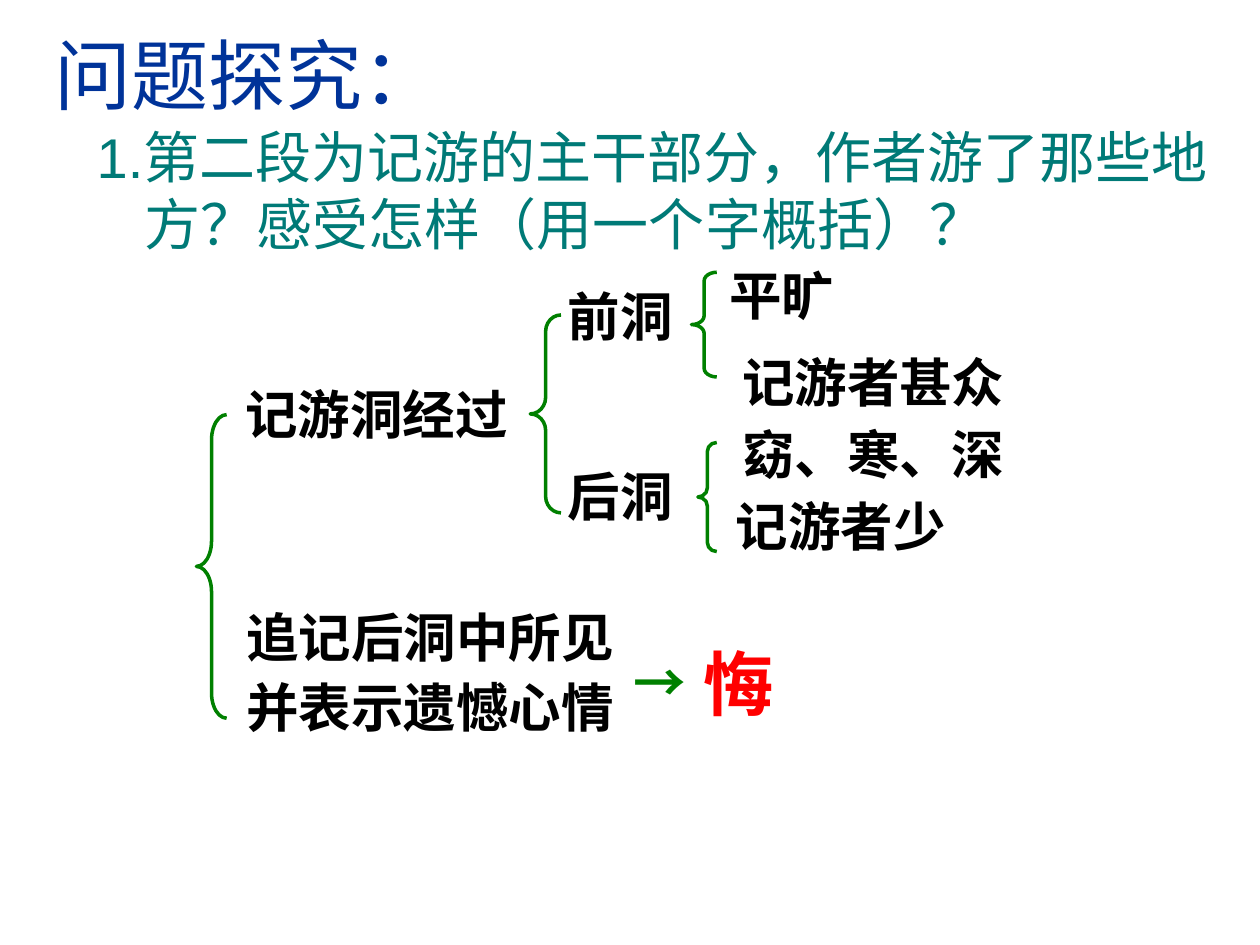
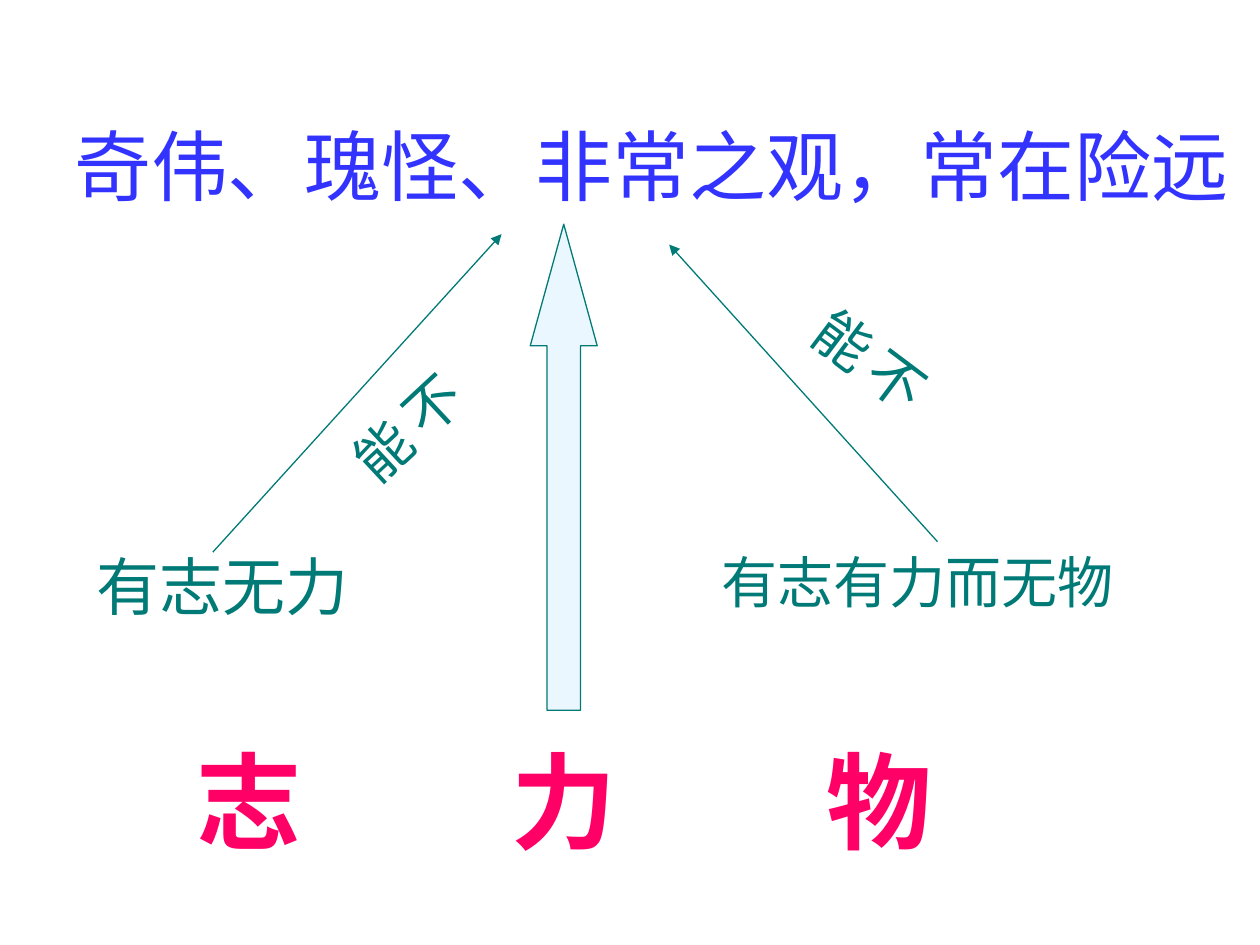
"""Builds two lesson slides: a brace outline of the tour and an arrow diagram."""
from dataclasses import dataclass

from lxml import etree
from pptx import Presentation
from pptx import util as u
from pptx.dml.color import RGBColor
from pptx.enum import shapes, text
from pptx.oxml import ns

TITLE_ONLY = 5


@dataclass(frozen=True)
class Theme:
    """Colours, fonts and type sizes shared by the slides."""
    navy: str = "003399"
    blue: str = "3333FF"
    teal: str = "007A77"
    green: str = "008000"
    black: str = "000000"
    red: str = "FF0000"
    pink: str = "FF0066"
    pale: str = "EBF7FF"
    latin: str = "Arial"
    cjk: str = "Noto Sans CJK SC"
    title: int = 44
    key: int = 60
    verdict: int = 40
    cause: int = 36
    body: int = 32
    outline: int = 30
    thin: float = 0.75
    brace: float = 2


THEME = Theme()


def look(size, color, name=THEME.latin, bold=False):
    """Return the font values of one text style."""
    return {"size": u.Pt(size), "color": color, "name": name, "bold": bold}


TITLE = look(THEME.title, THEME.navy)
HEADLINE = look(THEME.title, THEME.blue)
BODY = look(THEME.body, THEME.teal)
CAUSE = look(THEME.cause, THEME.teal)
OUTLINE = look(THEME.outline, THEME.black, THEME.cjk, True)
ARROW = look(THEME.outline, THEME.green, THEME.cjk, True)
VERDICT = look(THEME.verdict, THEME.red, THEME.cjk, True)
KEY = look(THEME.key, THEME.pink, bold=True)
TIGHT = {"line_spacing": 0.9}


def assign(target, values):
    """Set every attribute named in a dict of values."""
    for name, value in values.items():
        setattr(target, name, value)


def cm(*lengths):
    """Convert numbers to lengths in centimetres."""
    return [u.Cm(length) for length in lengths]


def write(box, lines, style, layout=None):
    """Fill a box with styled paragraphs."""
    frame = box.text_frame
    for index, line in enumerate(lines):
        para = frame.add_paragraph() if index else frame.paragraphs[0]
        assign(para, layout or {})
        if index:
            para.space_before = u.Pt(7.5)
        span = para.add_run()
        span.text = line
        assign(span.font, {k: v for k, v in style.items() if k != "color"})
        span.font.color.rgb = RGBColor.from_string(style["color"])
    for props in box.element.iter(ns.qn("a:rPr")):
        etree.SubElement(props, ns.qn("a:ea"), typeface=THEME.cjk)


def add_title(page, words, place, style, align):
    """Place and format the title placeholder."""
    box = page.shapes.title
    assign(box, dict(zip(("left", "top", "width", "height"), cm(*place))))
    assign(box.text_frame, {"vertical_anchor": text.MSO_ANCHOR.MIDDLE,
                            "auto_size": text.MSO_AUTO_SIZE.NONE,
                            "word_wrap": True})
    write(box, [words], style, {"alignment": align})


def add_text(page, words, place, style, layout=None, grow=True):
    """Add a wrapping text box, one paragraph for each line of words."""
    box = page.shapes.add_textbox(*cm(*place))
    fit = text.MSO_AUTO_SIZE
    assign(box.text_frame, {"word_wrap": True,
                            "auto_size": fit.SHAPE_TO_FIT_TEXT if grow else fit.NONE})
    write(box, words.split("\n"), style, layout)
    return box


def add_question(page, words, place):
    """Add a question with a hanging indent."""
    box = add_text(page, words, place, BODY, grow=False)
    for para in box.element.iter(ns.qn("a:p")):
        props = para.get_or_add_pPr()
        props.set("marL", str(u.Cm(0.97)))
        props.set("indent", str(u.Cm(-0.97)))


def add_tilted(page, words, place, angle):
    """Add a rotated box of vertical East Asian text."""
    box = add_text(page, words, place, BODY)
    box.rotation = angle
    side, end = cm(0.13, 0.25)
    assign(box.text_frame, {"margin_left": side, "margin_right": side,
                            "margin_top": end, "margin_bottom": end})
    for props in box.element.iter(ns.qn("a:bodyPr")):
        props.set("vert", "eaVert")


def add_keywords(page, words, place, step):
    """Add keywords spread over equal tab stops."""
    box = page.shapes.add_textbox(*cm(*place))
    box.text_frame.word_wrap = True
    for para in box.element.iter(ns.qn("a:p")):
        stops = etree.SubElement(para.get_or_add_pPr(), ns.qn("a:tabLst"))
        for count in range(1, len(words)):
            etree.SubElement(stops, ns.qn("a:tab"), pos=str(u.Cm(step * count)), algn="l")
    write(box, ["\t".join(words)], KEY)


def draw_line(shape, color, width):
    """Give a shape or connector its line."""
    shape.line.color.rgb = RGBColor.from_string(color)
    shape.line.width = u.Pt(width)


def add_brace(page, left, top, width, height):
    """Add a left brace whose curls are a twelfth of its height."""
    brace = page.shapes.add_shape(shapes.MSO_SHAPE.LEFT_BRACE, *cm(left, top, width, height))
    brace.shadow.inherit = False
    brace.adjustments[0] = height / 12 / width
    brace.fill.background()
    draw_line(brace, THEME.green, THEME.brace)


def add_pointer(page, start, end):
    """Add a thin line with an arrowhead at its end."""
    line = page.shapes.add_connector(shapes.MSO_CONNECTOR.STRAIGHT, *cm(*start, *end))
    draw_line(line, THEME.teal, THEME.thin)
    etree.SubElement(line.line._get_or_add_ln(), ns.qn("a:tailEnd"), type="triangle")
    etree.SubElement(line.element.spPr, ns.qn("a:effectLst"))


def add_up_arrow(page, place):
    """Add the pale block arrow pointing up."""
    arrow = page.shapes.add_shape(shapes.MSO_SHAPE.UP_ARROW, *cm(*place))
    arrow.shadow.inherit = False
    arrow.adjustments[1] = 1.817
    arrow.fill.solid()
    arrow.fill.fore_color.rgb = RGBColor.from_string(THEME.pale)
    draw_line(arrow, THEME.teal, THEME.thin)


def build_outline(page):
    """Build the question and its brace outline."""
    add_title(page, "问题探究：", (0.84, 0, 21.59, 2.97), TITLE, text.PP_ALIGN.LEFT)
    add_question(page, "1.第二段为记游的主干部分，作者游了那些地方？感受怎样（用一个字概括）？",
                 (1.7, 2.34, 23.11, 4.88))
    for words, place, layout in (
            ("平旷", (14.45, 5.33, 4.01, 1.4), TIGHT),
            ("记游洞经过", (4.7, 7.57, 6.63, 1.52), None),
            ("追记后洞中所见\n并表示遗憾心情", (4.72, 12.22, 8.43, 2.82), TIGHT),
            ("前洞", (11.2, 5.61, 3.38, 1.52), None),
            ("后洞", (11.2, 9.22, 3.25, 1.52), None),
            ("记游者甚众", (14.71, 6.93, 7.09, 1.52), None),
            ("窈、寒、深", (14.71, 8.53, 8.26, 1.4), TIGHT),
            ("记游者少", (14.58, 9.98, 6.12, 1.4), TIGHT)):
        add_text(page, words, place, OUTLINE, layout)
    for place in ((3.96, 8.36, 0.61, 6.12), (10.69, 6.35, 0.62, 3.99),
                  (13.94, 5.49, 0.51, 2.11), (14.07, 8.92, 0.38, 2.2)):
        add_brace(page, *place)
    add_text(page, "→", (12.52, 12.98, 2.41, 1.52), ARROW)
    add_text(page, "悔", (13.94, 12.78, 2.49, 1.96), VERDICT)


def build_diagram(page):
    """Build the diagram of what the distant view demands."""
    add_title(page, "奇伟、瑰怪、非常之观，常在险远", (0.89, 1.73, 24.51, 3.18),
              HEADLINE, text.PP_ALIGN.CENTER)
    add_text(page, "有志无力", (1.7, 10.92, 7.59, 1.78), CAUSE)
    add_text(page, "有志有力而无物", (14.3, 10.92, 9.19, 1.63), BODY)
    add_pointer(page, (4.29, 11.13), (10.11, 4.72))
    add_pointer(page, (18.9, 10.92), (13.49, 4.93))
    add_tilted(page, "不能", (6.5, 7.92, 3.2, 1.6), 317.1)
    add_tilted(page, "不能", (15.7, 6.32, 3.2, 2.01), 36.9)
    add_keywords(page, "志力物", (3.71, 14.73, 18.01, 2.79), 6.35)
    add_up_arrow(page, (10.69, 4.52, 1.35, 9.8))


def main():
    """Build and save the deck."""
    deck = Presentation()
    deck.slide_width, deck.slide_height = cm(25.4, 19.05)
    for build in (build_outline, build_diagram):
        build(deck.slides.add_slide(deck.slide_layouts[TITLE_ONLY]))
    deck.save("out.pptx")


if __name__ == "__main__":
    main()
